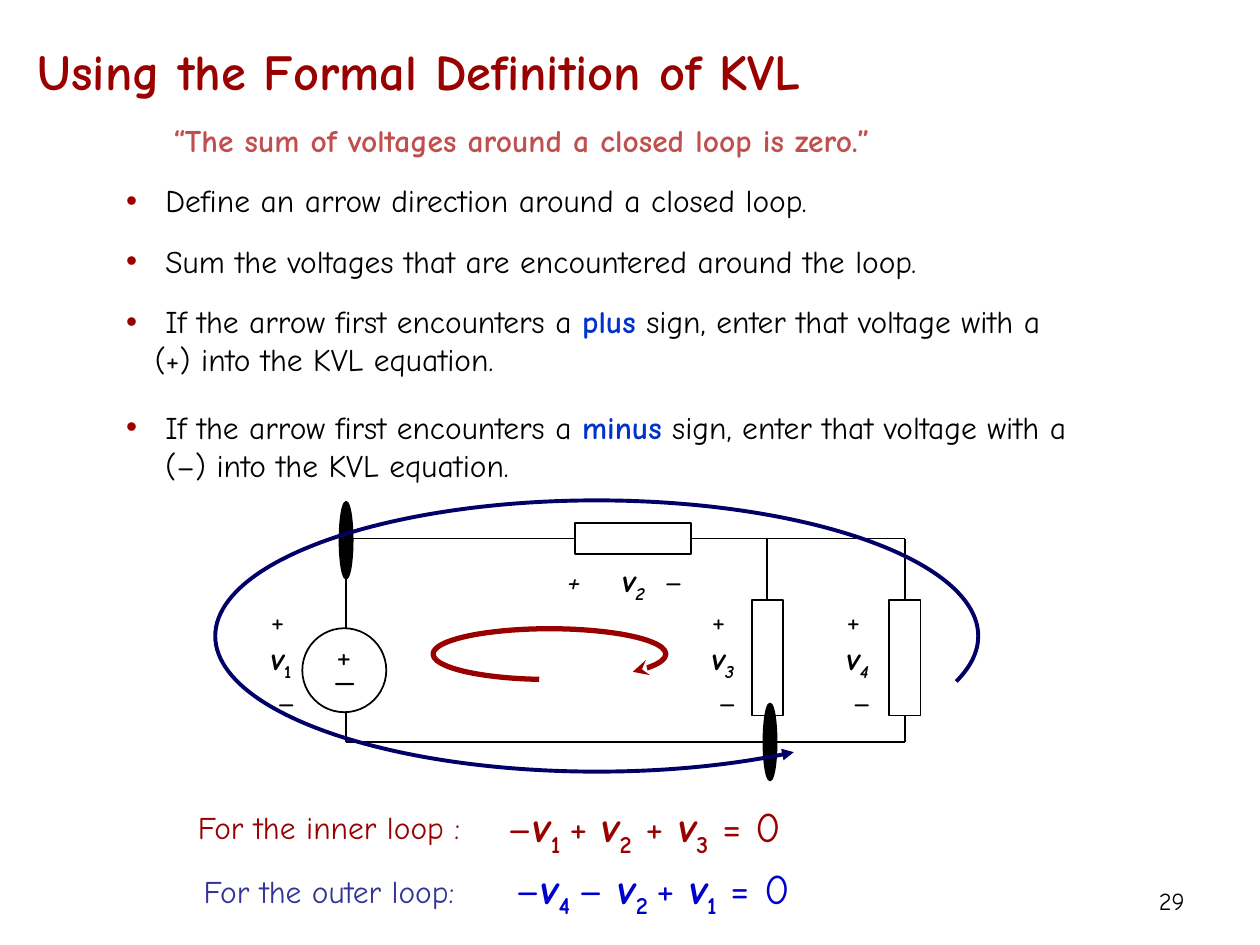
from lxml.etree import SubElement
from pptx import Presentation
from pptx.dml.color import RGBColor
from pptx.enum.shapes import MSO_CONNECTOR, MSO_SHAPE
from pptx.enum.text import MSO_ANCHOR, MSO_AUTO_SIZE, PP_ALIGN
from pptx.oxml.ns import qn
from pptx.util import Pt

FONT = "Comic Neue"
COLORS = {
    "black": "000000", "white": "FFFFFF", "title": "990000",
    "quote": "C0504D", "sign": "0033CC", "inner": "990000",
    "outer_arc": "000066", "outer_label": "333399", "outer": "0000CC",
}
LEFT_X, MIDDLE_X, RIGHT_X = 197.75, 438.5, 517
TOP_Y, BOTTOM_Y = 307.75, 424
TOP, LEFT, BOTTOM, RIGHT = range(4)


def rgb(name):
    return RGBColor.from_string(COLORS[name])


def write(paragraph, text, size=18, color="black", bold=False, italic=False,
          subscript=False):
    run = paragraph.add_run()
    run.text = text
    font = run.font
    font.name, font.size, font.bold, font.italic = FONT, Pt(size), bold, italic
    font.color.rgb = rgb(color)
    if subscript:
        run._r.get_or_add_rPr().set("baseline", "-25000")


def write_voltage(paragraph, index, slanted_index=False, **style):
    """Write a bold v with its subscript."""
    write(paragraph, "v", bold=True, italic=True, **style)
    write(paragraph, index, bold=True, italic=slanted_index, subscript=True,
          **style)


def add_text_box(slide, left, top, width, height, align=PP_ALIGN.LEFT):
    """Add a text box and return its first paragraph."""
    frame = slide.shapes.add_textbox(
        Pt(left), Pt(top), Pt(width), Pt(height)).text_frame
    frame.word_wrap = True
    paragraph = frame.paragraphs[0]
    paragraph.alignment = align
    return paragraph


def place(shape, left, top, width, height):
    shape.left, shape.top = Pt(left), Pt(top)
    shape.width, shape.height = Pt(width), Pt(height)


def add_outline(slide, kind, left, top, width, height, fill="white"):
    shape = slide.shapes.add_shape(
        kind, Pt(left), Pt(top), Pt(width), Pt(height))
    shape.shadow.inherit = False
    shape.fill.solid()
    shape.fill.fore_color.rgb = rgb(fill)
    shape.line.color.rgb = rgb("black")
    shape.line.width = Pt(1)
    return shape


def add_node(slide, x, y):
    add_outline(slide, MSO_SHAPE.OVAL, x - 3.75, y - 22, 7.5, 44, "black")


def add_wire(slide, start, end, begin=None, finish=None):
    """Draw a wire; begin and finish are (shape, site) pairs to join."""
    wire = slide.shapes.add_connector(
        MSO_CONNECTOR.STRAIGHT, *(Pt(value) for value in (*start, *end)))
    wire.line.color.rgb = rgb("black")
    wire.line.width = Pt(1)
    SubElement(wire._element.spPr, qn("a:effectLst"))
    if begin:
        wire.begin_connect(*begin)
    if finish:
        wire.end_connect(*finish)


def add_loop_arrow(slide, box, angles, color, width, end, head):
    """Draw an arc clockwise between two angles in degrees, with one head."""
    arc = slide.shapes.add_shape(MSO_SHAPE.ARC, *(Pt(value) for value in box))
    for index, angle in enumerate(angles):
        arc.adjustments[index] = angle * 60000 / 100000
    arc.shadow.inherit = False
    arc.fill.background()
    arc.line.color.rgb = rgb(color)
    arc.line.width = Pt(width)
    SubElement(arc.line._get_or_add_ln(), qn(f"a:{end}"), type=head)


def add_title(slide):
    title = slide.shapes.title
    place(title, 14.4, 14.5, 561.6, 51)
    title.text_frame.vertical_anchor = MSO_ANCHOR.MIDDLE
    title.text_frame.auto_size = MSO_AUTO_SIZE.NONE
    paragraph = title.text_frame.paragraphs[0]
    paragraph.alignment = PP_ALIGN.LEFT
    write(paragraph, "Using the Formal Definition of KVL", size=28.8,
          color="title", bold=True)


def add_rules(slide):
    body = slide.placeholders[1]
    place(body, 64.8, 100, 613, 181)
    frame = body.text_frame
    frame.auto_size = MSO_AUTO_SIZE.NONE
    encounter = " If the arrow first encounters a "
    enter = " sign, enter that voltage with a"
    equation = " into the KVL equation."
    rules = [
        (0, [" Define an arrow direction around a closed loop."]),
        (13, [" Sum the voltages that are encountered around the loop."]),
        (13, [encounter, "plus", enter, "\n", f"(+){equation}"]),
        (17, [encounter, "minus", enter, "\n", f" (–){equation}"]),
    ]
    for number, (space, parts) in enumerate(rules):
        paragraph = frame.add_paragraph() if number else frame.paragraphs[0]
        properties = paragraph._p.get_or_add_pPr()
        properties.set("marL", str(Pt(16.5)))
        properties.set("indent", str(Pt(-16.5)))
        paragraph.space_before = Pt(space)
        bullet_color = SubElement(properties, qn("a:buClr"))
        SubElement(bullet_color, qn("a:srgbClr"), val=COLORS["title"])
        SubElement(properties, qn("a:buChar"), char="•")
        for part in parts:
            if part == "\n":
                paragraph.add_line_break()
                continue
            is_sign = part in ("plus", "minus")
            write(paragraph, part, bold=is_sign,
                  color="sign" if is_sign else "black")


def add_circuit(slide):
    source = add_outline(slide, MSO_SHAPE.OVAL, LEFT_X - 25, 359, 48, 48)
    series = add_outline(slide, MSO_SHAPE.RECTANGLE, 328.5, TOP_Y - 9, 66.5, 18)
    add_wire(slide, (LEFT_X, TOP_Y), (LEFT_X, 359))
    add_wire(slide, (LEFT_X, 407), (LEFT_X, BOTTOM_Y))
    add_wire(slide, (LEFT_X, TOP_Y), (328.5, TOP_Y), finish=(series, LEFT))
    add_wire(slide, (395, TOP_Y), (RIGHT_X, TOP_Y), begin=(series, RIGHT))
    add_wire(slide, (LEFT_X, BOTTOM_Y), (RIGHT_X, BOTTOM_Y))
    for x in (MIDDLE_X, RIGHT_X):
        branch = add_outline(slide, MSO_SHAPE.RECTANGLE, x - 9, 343, 18, 66)
        add_wire(slide, (x, TOP_Y), (x, 343), finish=(branch, TOP))
        add_wire(slide, (x, 409), (x, BOTTOM_Y), begin=(branch, BOTTOM))
    for symbol, top in (("+", 358.5), ("_", 367)):
        write(add_text_box(slide, 185, top, 27, 31.5), symbol, size=20)
    add_node(slide, LEFT_X, TOP_Y + 1)
    add_node(slide, MIDDLE_X + 1.5, BOTTOM_Y)


def add_series_label(slide):
    paragraph = add_text_box(slide, 317, 317, 86, 29)
    tabs = SubElement(paragraph._p.get_or_add_pPr(), qn("a:tabLst"))
    for position in (31.5, 55.5):
        SubElement(tabs, qn("a:tab"), pos=str(Pt(position)), algn="l")
    write(paragraph, "+\t", italic=True)
    write_voltage(paragraph, "2", slanted_index=True)
    write(paragraph, "\t–")


def add_branch_label(slide, left, index, slanted_index=True):
    """Stack plus, voltage and minus beside a vertical element."""
    plus = add_text_box(slide, left, 340, 36, 72)
    write(plus, "+")
    frame = plus._parent
    write_voltage(frame.add_paragraph(), index, slanted_index)
    minus = frame.add_paragraph()
    write(minus, " ", subscript=True)
    write(minus, "–")


def add_equation(slide, left, top, color, terms):
    """Write signed voltages that sum to zero."""
    paragraph = add_text_box(slide, left, top, 190, 36)
    style = {"size": 24, "color": color}
    for sign, index in terms:
        write(paragraph, sign, **style)
        write_voltage(paragraph, index, **style)
    write(paragraph, " = 0", **style)


def main():
    presentation = Presentation()
    presentation.slide_width, presentation.slide_height = Pt(720), Pt(540)
    slide = presentation.slides.add_slide(presentation.slide_layouts[1])
    add_title(slide)
    add_rules(slide)
    write(add_text_box(slide, 58, 65.5, 480, 29, PP_ALIGN.CENTER),
          "“The sum of voltages around a closed loop is zero.”",
          color="quote", bold=True)
    add_circuit(slide)
    add_series_label(slide)
    add_branch_label(slide, 147.6, "1", slanted_index=False)
    add_branch_label(slide, 399.6, "3")
    add_branch_label(slide, 476.6, "4")
    add_loop_arrow(slide, (247.5, 359.25, 133, 29), (112, 12), "inner", 3,
                   "tailEnd", "stealth")
    add_loop_arrow(slide, (123, 286, 436, 155), (30.5, 7.2), "outer_arc", 2.25,
                   "headEnd", "triangle")
    for text, top, color in (("For the inner loop :", 458, "inner"),
                             ("For the outer loop:", 495, "outer_label")):
        write(add_text_box(slide, 100, top, 176, 29, PP_ALIGN.CENTER), text,
              color=color)
    add_equation(slide, 283, 454, "inner",
                 [("–", "1 "), ("+ ", "2"), (" + ", "3")])
    add_equation(slide, 287.5, 489.25, "outer",
                 [("–", "4 "), ("– ", "2 "), ("+ ", "1")])
    write(add_text_box(slide, 516, 502.5, 168, 29, PP_ALIGN.RIGHT), "29",
          size=14)
    presentation.save("out.pptx")


if __name__ == "__main__":
    main()
